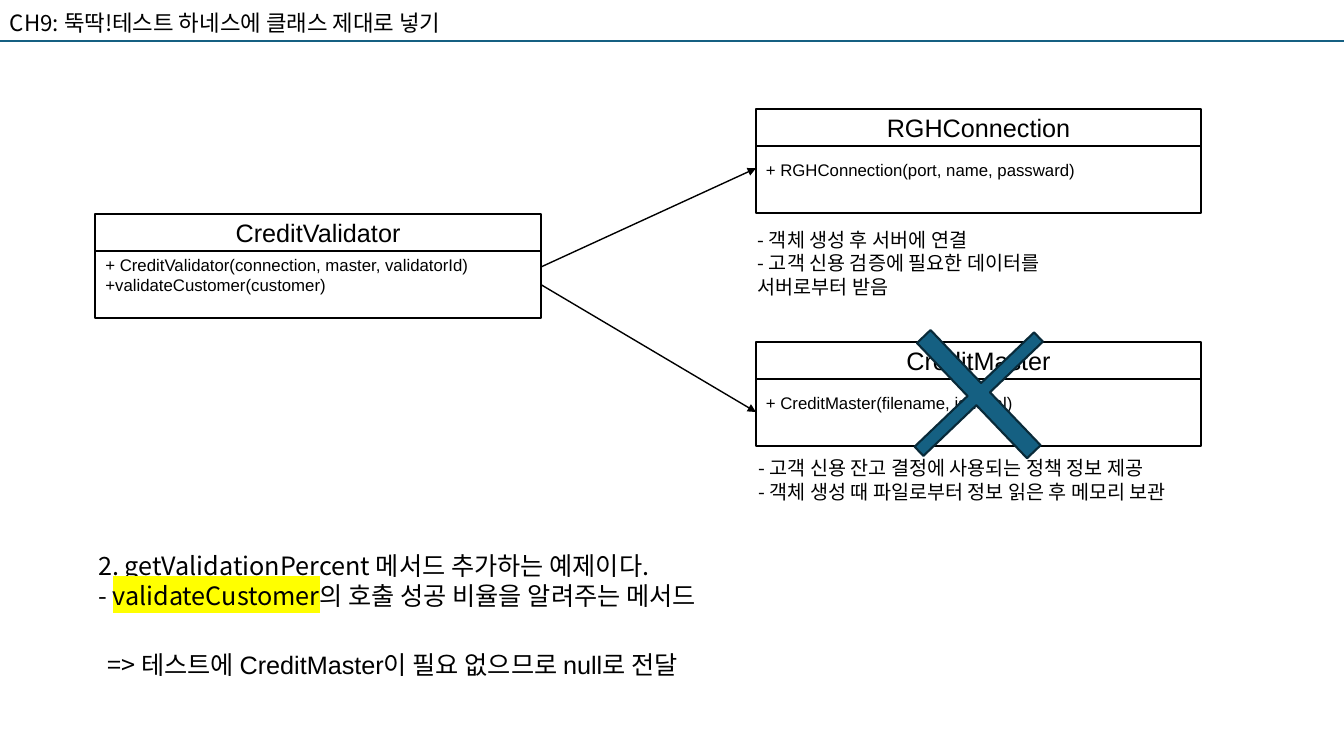
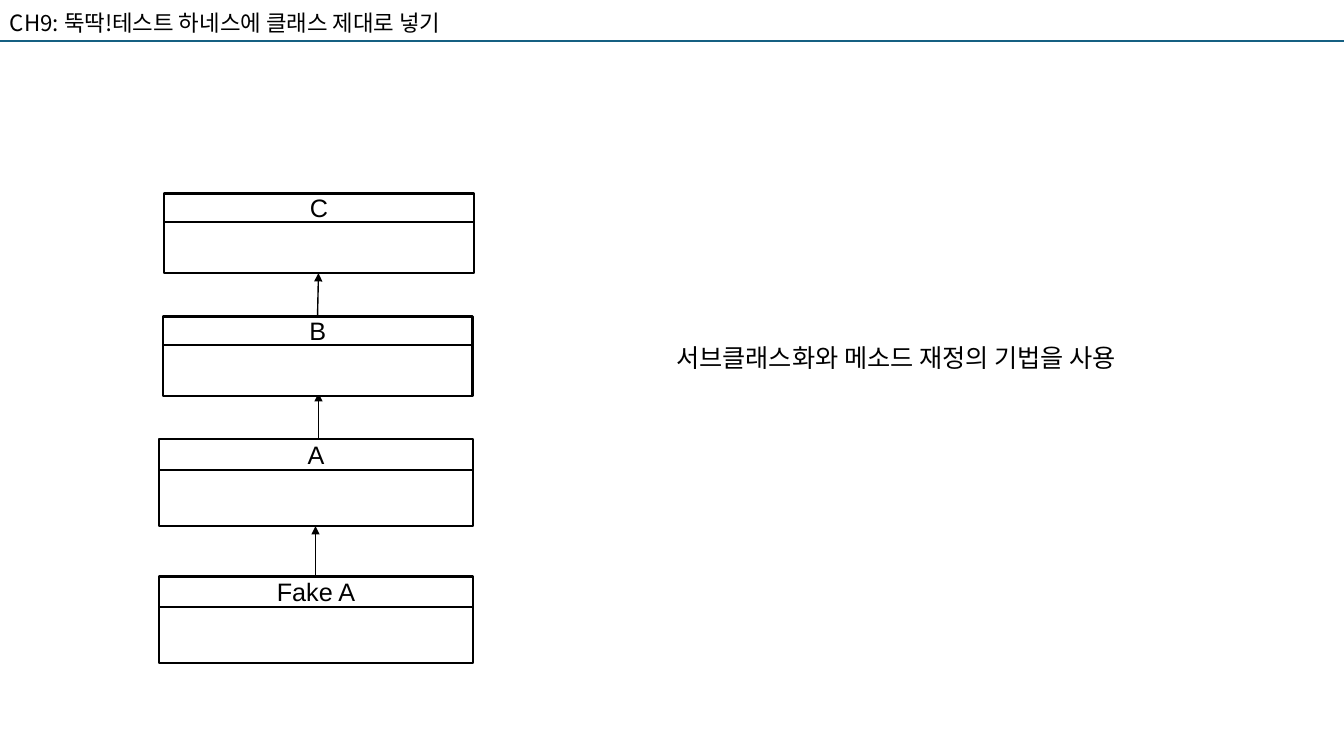
from lxml.etree import SubElement
from pptx import Presentation
from pptx.dml.color import RGBColor
from pptx.enum.shapes import MSO_CONNECTOR as Connector, MSO_SHAPE as Preset
from pptx.enum.text import MSO_ANCHOR as Anchor, MSO_AUTO_SIZE as AutoSize, PP_ALIGN as Align
from pptx.oxml.ns import qn
from pptx.util import Pt

COLORS = {
    "ink": "000000",
    "paper": "FFFFFF",
    "accent": "156082",
    "accent_edge": "092A39",
    "marker": "FFFF00",
}
LATIN = "Arial"
KOREAN = "Noto Sans CJK KR"
PAGE_WIDTH, PAGE_HEIGHT = 960, 540
CHAPTER = "CH9: 뚝딱!테스트 하네스에 클래스 제대로 넣기"


def color(name):
    return RGBColor.from_string(COLORS[name])


def format_span(span, size, font, marker=None):
    span.font.size = Pt(size)
    span.font.name = font
    span.font.color.rgb = color("ink")
    props = span.font._element
    if marker:
        highlight = SubElement(props, qn("a:highlight"))
        SubElement(highlight, qn("a:srgbClr"), val=COLORS[marker])
        props.find(qn("a:solidFill")).addnext(highlight)
    east_asian = SubElement(props, qn("a:ea"), typeface=KOREAN)
    props.find(qn("a:latin")).addnext(east_asian)


def write_text(frame, paragraphs, size=18, font=KOREAN, align=Align.LEFT, first_spacing=None):
    for index, spans in enumerate(paragraphs):
        para = frame.paragraphs[0] if index == 0 else frame.add_paragraph()
        para.alignment = align
        if index == 0 and first_spacing:
            para.line_spacing = first_spacing
        for item in [spans] if isinstance(spans, str) else spans:
            text, changes = (item, {}) if isinstance(item, str) else item
            for number, line in enumerate(text.split("\n")):
                if number:
                    para.add_line_break()
                span = para.add_run()
                span.text = line
                format_span(span, **{"size": size, "font": font, **changes})


def add_text(page, left, top, width, height, paragraphs, **style):
    box = page.shapes.add_textbox(Pt(left), Pt(top), Pt(width), Pt(height))
    box.text_frame.word_wrap = False
    box.text_frame.auto_size = AutoSize.SHAPE_TO_FIT_TEXT
    write_text(box.text_frame, paragraphs, **style)


def add_shape(shapes, preset, left, top, width, height, fill="paper", edge="ink"):
    shape = shapes.add_shape(preset, Pt(left), Pt(top), Pt(width), Pt(height))
    shape.shadow.inherit = False
    shape.fill.solid()
    shape.fill.fore_color.rgb = color(fill)
    shape.line.color.rgb = color(edge)
    shape.line.width = Pt(1.5)
    return shape


def add_class(page, name, left, top, width, head, body, members=()):
    group = page.shapes.add_group_shape()
    name_box = add_shape(group.shapes, Preset.RECTANGLE, left, top, width, head)
    name_box.text_frame.vertical_anchor = Anchor.MIDDLE
    write_text(name_box.text_frame, [name], font=LATIN, align=Align.CENTER)
    member_box = add_shape(group.shapes, Preset.RECTANGLE, left, top + head, width, body)
    if members:
        frame = member_box.text_frame
        frame.word_wrap = True
        frame.vertical_anchor = Anchor.MIDDLE
        frame.margin_bottom = Pt(17.4)
        write_text(frame, members, size=12, font=LATIN)


def add_line(page, start, end, stroke="ink", width=1, arrow=True):
    line = page.shapes.add_connector(Connector.STRAIGHT, *map(Pt, start + end))
    line.line.color.rgb = color(stroke)
    line.line.width = Pt(width)
    if arrow:
        SubElement(line.line._get_or_add_ln(), qn("a:tailEnd"), type="triangle")
    SubElement(line._element.spPr, qn("a:effectLst"))


def add_page(deck):
    page = deck.slides.add_slide(deck.slide_layouts[6])
    add_text(page, 0, 2.7, 356.4, 26.7, [CHAPTER], size=16)
    add_line(page, (0, 29.4), (PAGE_WIDTH, 29.4), stroke="accent", width=1.5, arrow=False)
    return page


def build_null_argument(deck):
    page = add_page(deck)
    size = {"width": 318, "head": 26.3, "body": 48.2}
    left, right = 68.2, 540
    edge = left + size["width"]
    add_class(page, "CreditValidator", left, 152.8, **size, members=[
        "+ CreditValidator(connection, master, validatorId)",
        "+validateCustomer(customer)",
    ])
    add_line(page, (edge, 190.8), (right, 120.2))
    add_class(page, "RGHConnection", right, 77.9, **size,
              members=["+ RGHConnection(port, name, passward)"])
    add_class(page, "CreditMaster", right, 244.3, **size,
              members=["+ CreditMaster(filename, isLocal)"])
    add_line(page, (edge, 203.2), (right, 294.3))
    add_text(page, 534.2, 159.2, 247.7, 58.3, [
        "- 객체 생성 후 서버에 연결",
        "- 고객 신용 검증에 필요한 데이터를 \n서버로부터 받음",
    ], size=14)
    add_text(page, 534.6, 322.4, 347, 41.2, [
        "- 고객 신용 잔고 결정에 사용되는 정책 정보 제공",
        "- 객체 생성 때 파일로부터 정보 읽은 후 메모리 보관",
    ], size=14)
    cross = add_shape(page.shapes, Preset.CROSS, 642.2, 222.5, 113.8, 118.1,
                      fill="accent", edge="accent_edge")
    cross.adjustments[0] = 0.46
    cross.rotation = 46.3
    add_text(page, 63.1, 378.7, 475.2, 62, [
        "2. getValidationPercent 메서드 추가하는 예제이다.",
        ["- ", ("validateCustomer", {"marker": "marker"}), "의 호출 성공 비율을 알려주는 메서드"],
    ], first_spacing=1.5)
    add_text(page, 69.8, 460.1, 460.1, 29.1, [
        ["=> 테스트에 ", ("CreditMaster이 필요 없으므로 null로 전달", {"font": LATIN})],
    ])


def build_subclassing(deck):
    page = add_page(deck)
    lower = {"left": 113.8, "width": 223.9, "head": 21.6, "body": 40.3}
    upper = {"width": 221, "head": 20.2, "body": 36.7}
    add_class(page, "A", top=313.9, **lower)
    add_line(page, (227.5, 313.9), (227.5, 280.8))
    add_class(page, "B", left=116.6, top=226.1, **upper)
    add_class(page, "C", left=117.4, top=138.2, **upper)
    add_line(page, (226.8, 226.1), (227.5, 195.1))
    add_text(page, 475.9, 241.2, 367.2, 29.1, ["서브클래스화와 메소드 재정의 기법을 사용"])
    add_class(page, "Fake A", top=411.8, **lower)
    add_line(page, (225.4, 411.8), (225.4, 375.8))


def main():
    deck = Presentation()
    deck.slide_width, deck.slide_height = Pt(PAGE_WIDTH), Pt(PAGE_HEIGHT)
    build_null_argument(deck)
    build_subclassing(deck)
    deck.save("out.pptx")


if __name__ == "__main__":
    main()
